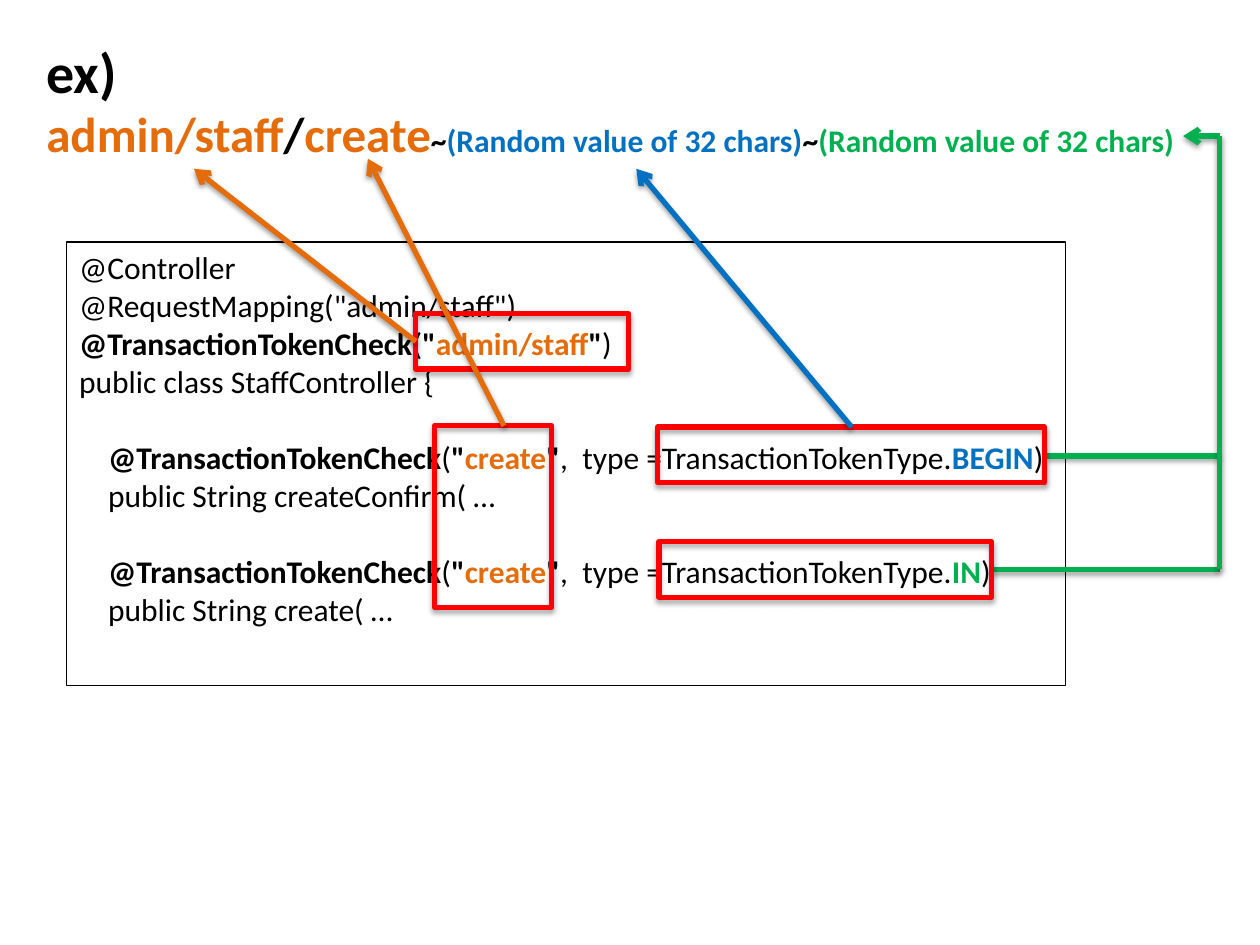
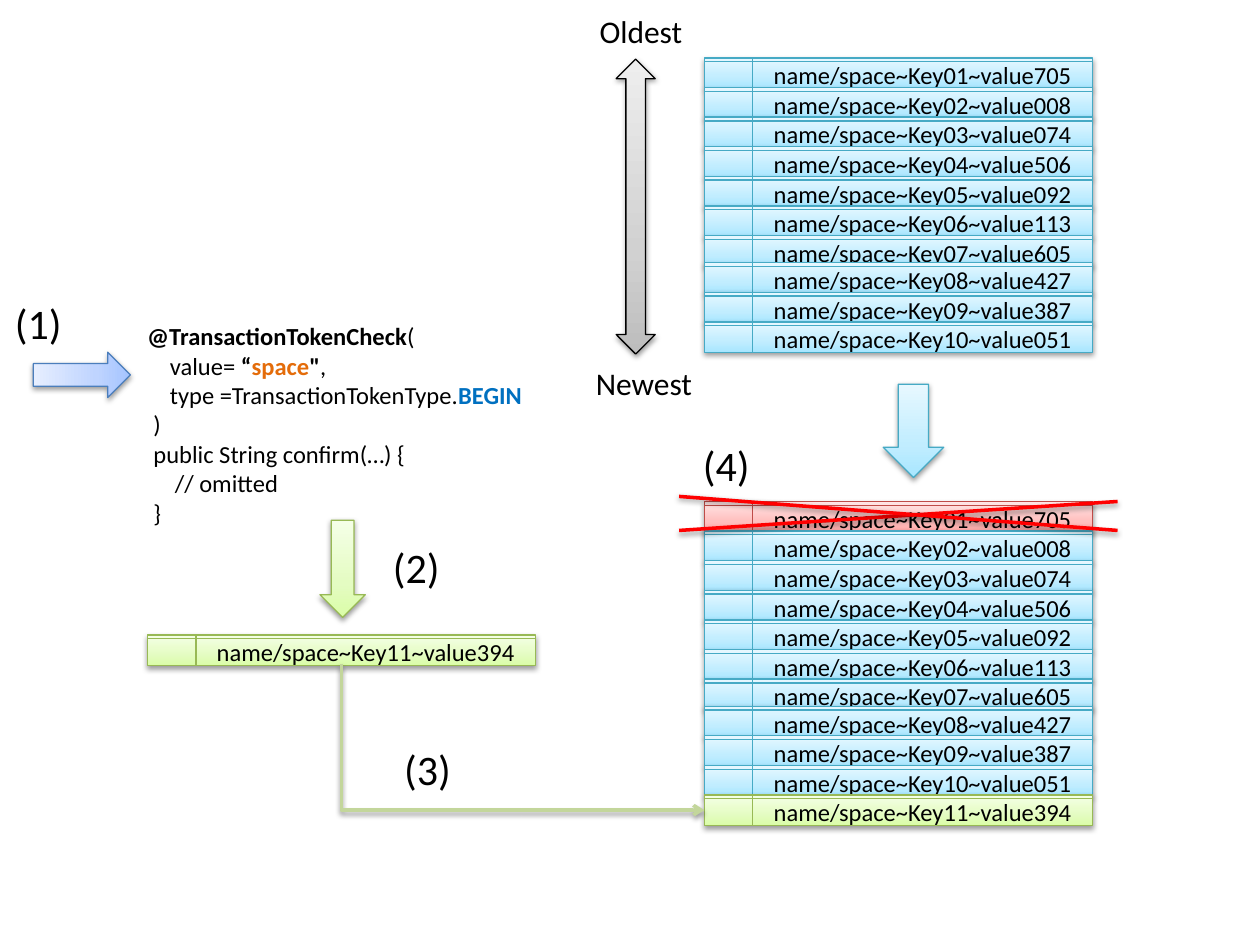
from copy import deepcopy

from lxml import etree
from pptx import Presentation
from pptx.dml.color import RGBColor
from pptx.enum.shapes import MSO_CONNECTOR, MSO_SHAPE
from pptx.enum.text import MSO_ANCHOR, MSO_AUTO_SIZE, PP_ALIGN
from pptx.oxml.ns import qn
from pptx.util import Inches, Pt

RECT, STORE = MSO_SHAPE.RECTANGLE, MSO_SHAPE.FLOWCHART_INTERNAL_STORAGE
DOWN, BOTH = MSO_SHAPE.DOWN_ARROW, MSO_SHAPE.UP_DOWN_ARROW
LINE, ELBOW = MSO_CONNECTOR.STRAIGHT, MSO_CONNECTOR.ELBOW
TOP, MIDDLE = MSO_ANCHOR.TOP, MSO_ANCHOR.MIDDLE
LEFT, CENTER = PP_ALIGN.LEFT, PP_ALIGN.CENTER
FIXED = MSO_AUTO_SIZE.NONE

FONT = "Calibri"
BLACK, RED, ORANGE = "000000", "FF0000", "E46C0A"
BLUE, GREEN, OLIVE = "0070C0", "00B050", "C3D69B"

# Each tint is an outline and three gradient stops from bottom to top.
AQUA = ("46AAC5", "A7E6FF", "C1EDFF", "E7F8FF")
ROSE = ("BF4C48", "FFA6A5", "FFC0BF", "FFE7E7")
LIME = ("98B955", "DAFDA7", "E4FCC2", "F5FFE7")
SKY = ("4B7EBC", "A4C4FF", "BFD4FF", "E6EEFF")
GRAY = (BLACK, "BDBDBD", "D1D1D1", "EEEEEE")
STOPS = (0, 0.35, 1)

ROW_W, ROW_H, PITCH = 3.08, 0.24, 0.235
VALUES = ("705", "008", "074", "506", "092", "113",
          "605", "427", "387", "051", "394")
KEYS = [f"name/space~Key{n:02}~value{v}" for n, v in enumerate(VALUES, 1)]


def color(code):
    """Turn a hex string into a colour."""
    return RGBColor.from_string(code)


def inches(*sizes):
    """Turn plain numbers into lengths."""
    return [Inches(size) for size in sizes]


def shade(item, alpha=38, drop=1.6):
    """Give an item, whose line is already set, a soft shadow below."""
    effects = etree.SubElement(item._element.spPr, qn("a:effectLst"))
    outer = etree.SubElement(
        effects, qn("a:outerShdw"), blurRad=str(Pt(3.1)), dist=str(Pt(drop)),
        dir="5400000", rotWithShape="0")
    tone = etree.SubElement(outer, qn("a:srgbClr"), val=BLACK)
    etree.SubElement(tone, qn("a:alpha"), val=str(alpha * 1000))


def write(frame, lines, size, align=LEFT, anchor=TOP):
    """Fill a frame with lines of (indent, space before, runs).

    A run is (text, colour, bold).
    """
    frame.word_wrap = True
    frame.vertical_anchor = anchor
    for n, (indent, gap, runs) in enumerate(lines):
        par = frame.add_paragraph() if n else frame.paragraphs[0]
        par.alignment = align
        if indent:
            par._p.get_or_add_pPr().set("marL", str(Inches(indent)))
        if gap:
            par.space_before = Pt(gap)
        par.font.name, par.font.size = FONT, Pt(size)
        par.font.color.rgb = color(BLACK)
        for text, tone, bold in runs:
            run = par.add_run()
            run.text = text
            run.font.bold = bold
            run.font.color.rgb = color(tone)


def plain(text, tone=BLACK):
    """Make a run of normal weight."""
    return text, tone, False


def strong(text, tone=BLACK):
    """Make a bold run."""
    return text, tone, True


def label(slide, box, lines, size):
    """Add a text box."""
    write(slide.shapes.add_textbox(*inches(*box)).text_frame, lines, size)


def note(slide, box, text, size):
    """Add a text box with one plain line."""
    label(slide, box, [(0, 0, [plain(text)])], size)


def block(slide, kind, box, tint, turn=0):
    """Add a gradient shape with a thin outline and a shadow."""
    shape = slide.shapes.add_shape(kind, *inches(*box))
    edge, *tones = tint
    shape.fill.gradient()
    stops = shape._element.spPr.find(qn("a:gradFill")).find(qn("a:gsLst"))
    stops.append(deepcopy(stops[0]))
    for stop, place, tone in zip(shape.fill.gradient_stops, STOPS, tones):
        stop.position = place
        stop.color.rgb = color(tone)
    shape.fill.gradient_angle = 90
    shape.line.color.rgb = color(edge)
    shape.line.width = Pt(0.75)
    shape.rotation = turn
    shade(shape)
    return shape


def frame(slide, box, tone, width):
    """Add an unfilled rectangle."""
    shape = slide.shapes.add_shape(RECT, *inches(*box))
    shape.shadow.inherit = False
    shape.fill.background()
    shape.line.color.rgb = color(tone)
    shape.line.width = Pt(width)
    return shape


def mark(slide, box):
    """Frame a piece of code in red, with a shadow."""
    shape = frame(slide, box, RED, 3)
    spPr = shape._element.spPr
    spPr.remove(spPr.find(qn("a:effectLst")))
    shade(shape, 35, 1.8)


def finish(line, tone, width, head):
    """Set the colour, width, arrowhead and shadow of a connector."""
    line.line.color.rgb = color(tone)
    line.line.width = Pt(width)
    if head:
        ln = line._element.spPr.find(qn("a:ln"))
        etree.SubElement(ln, qn("a:tailEnd"), type="arrow")
    shade(line)


def link(slide, start, end, tone, width=3, head=False):
    """Draw a straight line between two points."""
    line = slide.shapes.add_connector(LINE, *inches(*start, *end))
    finish(line, tone, width, head)


def bend(slide, start, end, tone, width):
    """Draw an arrow that goes down, then right."""
    (x1, y1), (x2, y2) = start, end
    midx, midy = (x1 + x2) / 2, (y1 + y2) / 2
    halfw, halfh = (y2 - y1) / 2, (x2 - x1) / 2
    line = slide.shapes.add_connector(ELBOW, *inches(
        midx + halfw, midy - halfh, midx - halfw, midy + halfh))
    spPr = line._element.spPr
    spPr.find(qn("a:xfrm")).set("rot", "16200000")
    spPr.find(qn("a:prstGeom")).set("prst", "bentConnector2")
    finish(line, tone, width, True)


def check(name):
    """Return the runs of a token check up to its value."""
    return [strong("@TransactionTokenCheck"), plain("("), strong('"'),
            strong(name, ORANGE), strong('"')]


def method(kind, tone, name):
    """Return the two lines of a checked method."""
    runs = check("create") + [plain(",  type =TransactionTokenType."),
                              strong(kind, tone), plain(")")]
    return [(0.23, 22, runs),
            (0.23, 0, [plain(f"public String {name}( …")])]


def code(slide, box):
    """Write the controller source in a thin black frame."""
    lines = [(0, 0, [plain("@Controller")]),
             (0, 0, [plain('@RequestMapping("admin/staff")')]),
             (0, 0, check("admin/staff") + [plain(")")]),
             (0, 0, [plain("public class StaffController {")])]
    lines += method("BEGIN", BLUE, "createConfirm")
    lines += method("IN", GREEN, "create")
    write(frame(slide, box, BLACK, 0.75).text_frame, lines, 18)


def marks(slide, box):
    """Frame parts of the code and lead each to its part of the token."""
    x, y = box[:2]
    mark(slide, (x + 2.92, y + 1.46, 0.93, 1.44))
    mark(slide, (x + 2.77, y + 0.57, 1.69, 0.44))
    link(slide, (x + 2.77, y + 0.79), (x + 1.01, y - 0.58), ORANGE, head=True)
    link(slide, (x + 3.47, y + 1.46), (x + 2.39, y - 0.66), ORANGE, head=True)
    rail, peak = x + 9.15, y - 0.84
    link(slide, (x + 7.78, y + 1.7), (rail, y + 1.7), GREEN)
    link(slide, (rail, peak), (rail - 0.29, peak), GREEN, head=True)
    link(slide, (x + 7.34, y + 2.6), (rail, y + 2.6), GREEN)
    link(slide, (rail, peak), (rail, y + 2.6), GREEN)
    mark(slide, (x + 4.69, y + 1.47, 3.07, 0.44))
    link(slide, (x + 6.23, y + 1.47), (x + 4.52, y - 0.58), BLUE, head=True)
    mark(slide, (x + 4.7, y + 2.38, 2.64, 0.44))


def heading(slide, box):
    """Place the title."""
    title = slide.shapes.title
    title.left, title.top, title.width, title.height = inches(*box)
    title.text_frame.auto_size = FIXED
    write(title.text_frame, [(0, 0, [strong("ex)")])], 32)


def token(slide, box):
    """Write the token, its first part larger than the rest."""
    value = "(Random value of 32 chars)"
    large = [strong("admin/staff", ORANGE), strong("/"),
             strong("create", ORANGE)]
    small = [strong("~"), strong(value, BLUE), strong("~"),
             strong(value, GREEN)]
    area = slide.shapes.add_textbox(*inches(*box)).text_frame
    write(area, [(0, 0, large + small)], 28)
    for run in area.paragraphs[0].runs[len(large):]:
        run.font.size = Pt(18)


def row(slide, x, y, text, tint):
    """Add one stored token."""
    shape = block(slide, STORE, (x, y, ROW_W, ROW_H), tint)
    write(shape.text_frame, [(0, 0, [plain(text)])], 14, CENTER, MIDDLE)


def stack(slide, x, y, tints):
    """Pile up tokens; those from the eighth on sit slightly closer."""
    for n, (text, tint) in enumerate(zip(KEYS, tints)):
        row(slide, x, y + n * PITCH - (0.02 if n > 6 else 0), text, tint)


def call(slide, box):
    """Write the checked method that starts a transaction."""
    label(slide, box, [
        (0.04, 0, [strong("@TransactionTokenCheck"), plain("(")]),
        (0.22, 0, [plain("value= "), strong("“"), strong("space", ORANGE),
                   strong('"'), plain(",")]),
        (0.22, 0, [plain("type =TransactionTokenType."),
                   strong("BEGIN", BLUE)]),
        (0.09, 0, [plain(")")]),
        (0.09, 0, [plain("public String confirm(…) {")]),
        (0.26, 0, [plain("// omitted")]),
        (0.09, 0, [plain("}")])], 14)


def example(slide):
    """Build the slide that explains the parts of a token."""
    box = (0.53, 1.92, 7.93, 3.52)
    code(slide, box)
    token(slide, (0.27, 0.77, 9.56, 0.57))
    heading(slide, (0.27, 0.25, 0.81, 0.64))
    marks(slide, box)


def store(slide):
    """Build the slide that shows the oldest token being dropped."""
    x, old, new = 5.59, 0.46, 3.98
    stack(slide, x, old, [AQUA] * 10)
    stack(slide, x, new, [ROSE] + [AQUA] * 9 + [LIME])
    for y1, y2 in ((new, new + 0.23), (new + 0.23, new - 0.04)):
        link(slide, (x - 0.2, y2), (x + 3.28, y1), RED, 2)
    block(slide, DOWN, (0.47, 2.59, 0.36, 0.77), SKY, 270)
    block(slide, DOWN, (7.01, 3.05, 0.48, 0.74), AQUA)
    call(slide, (1.03, 2.5, 3.8, 1.75))
    row(slide, 1.17, 5.04, KEYS[-1], LIME)
    block(slide, DOWN, (2.54, 4.13, 0.36, 0.77), LIME)
    bend(slide, (2.71, 5.27), (x, 6.43), OLIVE, 2)
    block(slide, BOTH, (4.89, 0.47, 0.31, 2.34), GRAY)
    note(slide, (4.66, 0.05, 1.08, 0.4), "Oldest", 18)
    note(slide, (4.63, 2.84, 1.08, 0.4), "Newest", 18)
    steps = ((0.02, 2.31), (3.02, 4.25), (3.11, 5.85), (5.48, 3.44))
    for n, place in enumerate(steps, 1):
        note(slide, (*place, 0.68, 0.5), f"({n})", 24)


deck = Presentation()
deck.slide_width, deck.slide_height = inches(10, 7.5)
TITLED, BLANK = deck.slide_layouts[5], deck.slide_layouts[6]
example(deck.slides.add_slide(TITLED))
store(deck.slides.add_slide(BLANK))
deck.save("out.pptx")
